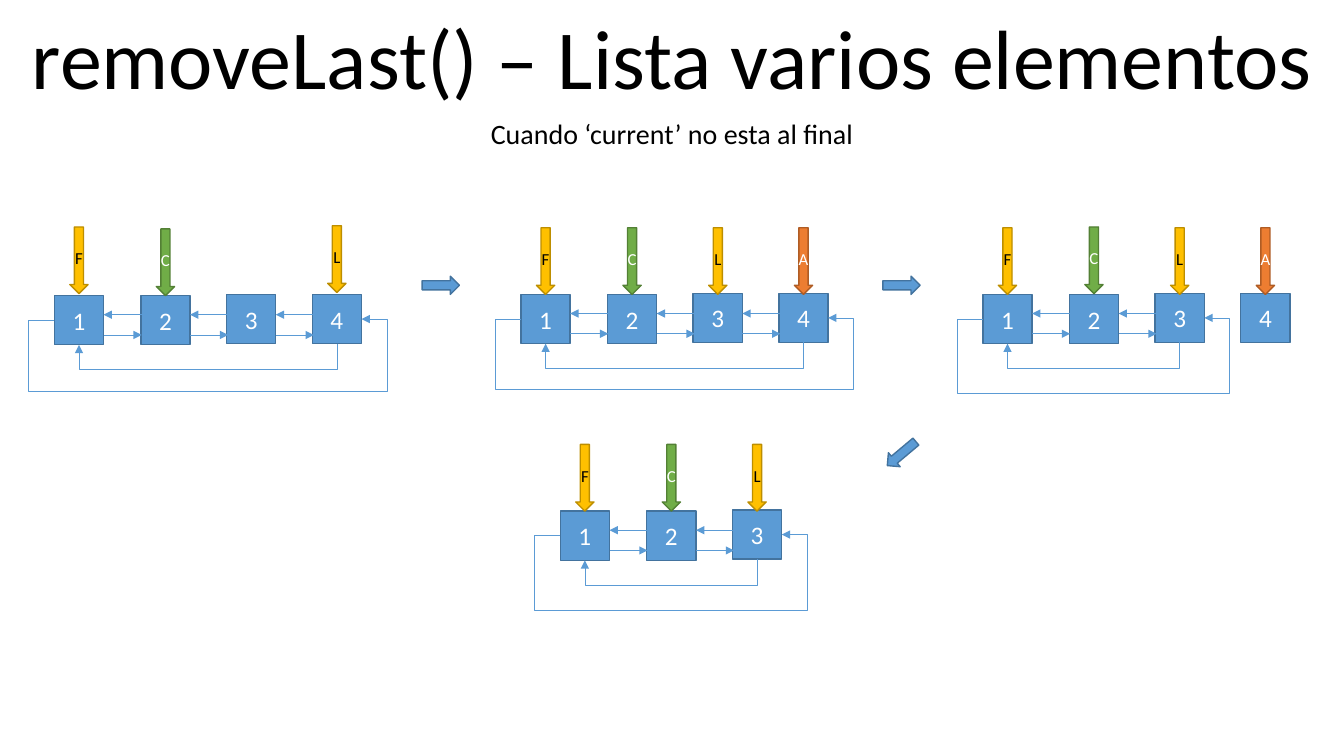
from dataclasses import dataclass

from lxml.etree import SubElement
from pptx import Presentation
from pptx.dml.color import RGBColor
from pptx.enum.shapes import MSO_CONNECTOR as Link, MSO_SHAPE as Preset
from pptx.enum.text import MSO_ANCHOR as Anchor, MSO_AUTO_SIZE as AutoSize, PP_ALIGN as Align
from pptx.oxml.ns import qn
from pptx.shapes.autoshape import Shape
from pptx.shapes.connector import Connector
from pptx.text.text import TextFrame
from pptx.util import Cm, Pt

FONT = "Calibri"
BLUE, DARK_BLUE, BLACK, WHITE = "5B9BD5", "43739E", "000000", "FFFFFF"

# Geometry of one list, in centimetres
NODE = 1.24
NODE_OFFSETS = [(0, 0.03), (2.18, 0.03), (4.34, 0), (6.5, 0)]
STEP = 0.03           # height difference between first and last node
LINK_LENGTH = 0.96
POINTER_WIDTH, POINTER_HEIGHT = 0.46, 1.68
INNER_DROP = 0.66
OUTER_MARGIN = 0.64


@dataclass
class Style:
    fill: str
    line: str
    text: str


@dataclass
class Pointer:
    label: str
    node: int
    lift: float = 1.65


@dataclass
class LinkedList:
    left: float
    top: float
    nodes: int
    linked: int
    outer_drop: float
    pointers: list[Pointer]


@dataclass
class NextArrow:
    left: float
    top: float
    rotation: float = 0


NODE_STYLE = Style(BLUE, DARK_BLUE, WHITE)
YELLOW = Style("FFC000", "BD8E00", BLACK)
POINTER_STYLES = {
    "F": YELLOW,
    "L": YELLOW,
    "C": Style("70AD47", "538035", WHITE),
    "A": Style("ED7D31", "AF5C24", WHITE),
}

LISTS = [
    LinkedList(1.37, 7.42, 4, 4, 1.78,
               [Pointer("F", 0, 1.7), Pointer("C", 1), Pointer("L", 3, 1.73)]),
    LinkedList(13.13, 7.39, 4, 4, 1.78,
               [Pointer("F", 0), Pointer("C", 1), Pointer("L", 2), Pointer("A", 3)]),
    LinkedList(24.77, 7.39, 4, 3, 1.88,
               [Pointer("F", 0), Pointer("C", 1, 1.67), Pointer("L", 2), Pointer("A", 3)]),
    LinkedList(14.12, 12.85, 3, 3, 1.88,
               [Pointer("F", 0), Pointer("C", 1), Pointer("L", 2)]),
]
NEXT_ARROWS = [NextArrow(10.64, 6.96), NextArrow(22.25, 6.96), NextArrow(22.25, 11.2, 140)]


def color(value: str) -> RGBColor:
    return RGBColor.from_string(value)


def write(frame: TextFrame, text: str, size: float, ink: str) -> None:
    para = frame.paragraphs[0]
    para.text = text
    para.alignment = Align.CENTER
    para.font.name, para.font.size = FONT, Pt(size)
    para.font.color.rgb = color(ink)


def add_heading(box: Shape, top: float, height: float, text: str, size: float) -> None:
    box.left, box.top, box.width, box.height = Cm(0.02), Cm(top), Cm(33.83), Cm(height)
    frame = box.text_frame
    frame.word_wrap = True
    frame.auto_size = AutoSize.SHAPE_TO_FIT_TEXT
    frame.vertical_anchor = Anchor.TOP
    write(frame, text, size, BLACK)


def add_block(preset: Preset, left: float, top: float, width: float, height: float,
              style: Style, text: str = "", size: float = 18) -> Shape:
    block = page.shapes.add_shape(preset, Cm(left), Cm(top), Cm(width), Cm(height))
    block.shadow.inherit = False
    block.fill.solid()
    block.fill.fore_color.rgb = color(style.fill)
    block.line.color.rgb = color(style.line)
    block.line.width = Pt(1)
    if text:
        frame = block.text_frame
        frame.margin_left = frame.margin_right = 0
        frame.word_wrap = False
        frame.vertical_anchor = Anchor.MIDDLE
        write(frame, text, size, style.text)
    return block


def add_link(kind: Link, x1: float, y1: float, x2: float, y2: float) -> Connector:
    link = page.shapes.add_connector(kind, Cm(x1), Cm(y1), Cm(x2), Cm(y2))
    link.line.color.rgb = color(BLUE)
    link.line.width = Pt(0.5)
    SubElement(link.line._get_or_add_ln(), qn("a:tailEnd"), type="triangle")
    SubElement(link.element.spPr, qn("a:effectLst"))
    return link


def add_elbow(start: Shape, start_side: int, end: Shape, end_side: int, preset: str,
              frame: tuple[float, float, float, float], rotation: float, flip: bool,
              bends: list[float]) -> None:
    """Join two nodes with a bent arrow; bends are fractions of the frame."""
    elbow = add_link(Link.ELBOW, 0, 0, 1, 1)
    elbow.begin_connect(start, start_side)
    elbow.end_connect(end, end_side)
    elbow.left, elbow.top, elbow.width, elbow.height = map(Cm, frame)
    xfrm = elbow.element.spPr.find(qn("a:xfrm"))
    xfrm.set("rot", str(rotation * 60000))
    xfrm.set("flipH", str(int(flip)))
    xfrm.set("flipV", "0")
    geometry = elbow.element.spPr.find(qn("a:prstGeom"))
    geometry.set("prst", preset)
    guides = geometry.find(qn("a:avLst"))
    for number, bend in enumerate(bends, 1):
        name = f"adj{number}"
        SubElement(guides, qn("a:gd"), name=name, fmla=f"val {round(bend * 100000)}")


def draw_list(chain: LinkedList) -> None:
    spots = [(chain.left + dx, chain.top + dy) for dx, dy in NODE_OFFSETS[:chain.nodes]]
    nodes = [add_block(Preset.RECTANGLE, x, y, NODE, NODE, NODE_STYLE, str(number))
             for number, (x, y) in enumerate(spots, 1)]

    for pointer in chain.pointers:
        center = spots[pointer.node][0] + NODE / 2
        add_block(Preset.DOWN_ARROW, center - POINTER_WIDTH / 2, chain.top - pointer.lift,
                  POINTER_WIDTH, POINTER_HEIGHT, POINTER_STYLES[pointer.label],
                  pointer.label, 12)

    # Links between neighbours
    for x, _ in spots[:chain.linked - 1]:
        near, far = x + NODE, x + NODE + LINK_LENGTH
        back, forth = chain.top + 0.51, chain.top + 1.02
        add_link(Link.STRAIGHT, far, back, near, back)
        add_link(Link.STRAIGHT, near, forth, far, forth)

    # Links that close the circle
    first, last = nodes[0], nodes[chain.linked - 1]
    span = NODE_OFFSETS[chain.linked - 1][0]
    middle_x = chain.left + (span + NODE) / 2
    middle_y = chain.top + NODE + STEP / 2
    add_elbow(last, 2, first, 2, "bentConnector3",
              (middle_x - STEP / 2, middle_y - span / 2, STEP, span),
              90, False, [INNER_DROP / STEP])
    width = span + NODE
    add_elbow(first, 1, last, 3, "bentConnector5",
              (chain.left, chain.top + NODE / 2, width, STEP), 180, True,
              [-OUTER_MARGIN / width, -chain.outer_drop / STEP, 1 + OUTER_MARGIN / width])


deck = Presentation()
deck.slide_width, deck.slide_height = Cm(33.87), Cm(19.05)
page = deck.slides.add_slide(deck.slide_layouts[5])

# Headings
add_heading(page.shapes.title, 0, 2.82, "removeLast() – Lista varios elementos", 60)
add_heading(page.shapes.add_textbox(0, 0, Cm(1), Cm(1)), 2.82, 1.11,
            "Cuando ‘current’ no esta al final", 20)

# Lists and the arrows from one step to the next
for chain in LISTS:
    draw_list(chain)
for arrow in NEXT_ARROWS:
    block = add_block(Preset.RIGHT_ARROW, arrow.left, arrow.top, 0.94, 0.46, NODE_STYLE)
    block.rotation = arrow.rotation

deck.save("out.pptx")
